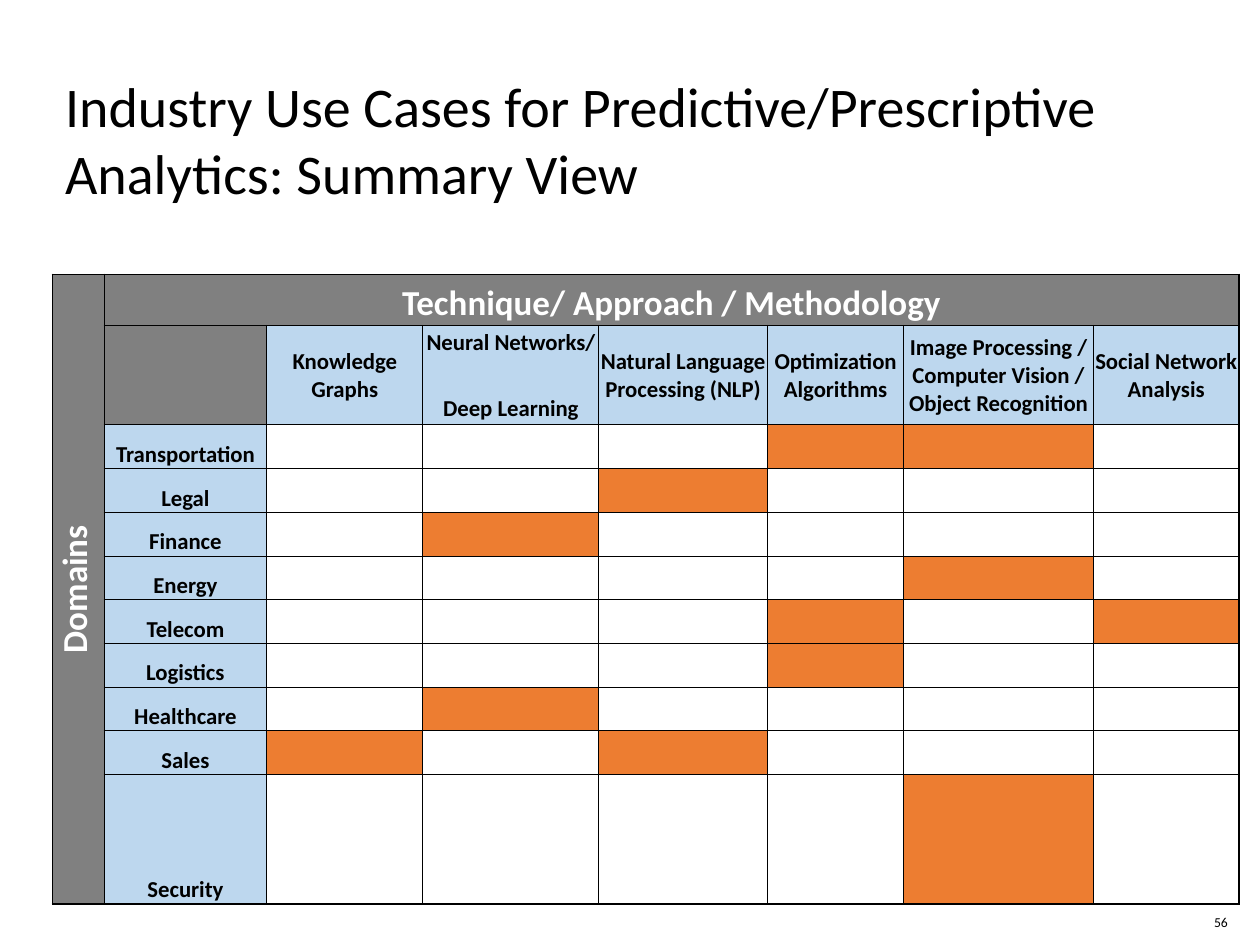
"""Build the summary table of analytics use cases by domain and technique."""
from lxml import etree
from pptx import Presentation
from pptx.dml.color import RGBColor
from pptx.enum.text import MSO_ANCHOR, MSO_AUTO_SIZE, PP_ALIGN
from pptx.oxml.ns import qn
from pptx.util import Pt

TOP, MIDDLE, BOTTOM = MSO_ANCHOR.TOP, MSO_ANCHOR.MIDDLE, MSO_ANCHOR.BOTTOM
LEFT, CENTER = PP_ALIGN.LEFT, PP_ALIGN.CENTER
NO_FIT = MSO_AUTO_SIZE.NONE
TITLE_ONLY = 5
FONT = "Calibri"
COLORS = {
    "black": "000000",
    "white": "FFFFFF",
    "band": "808080",
    "label": "BDD7EE",
    "used": "ED7D31",
}
TECHNIQUES = [
    "Knowledge Graphs",
    "Neural Networks/ \nDeep Learning",
    "Natural Language Processing (NLP)",
    "Optimization Algorithms",
    "Image Processing / Computer Vision / Object Recognition",
    "Social Network Analysis",
]
DOMAINS = {
    "Transportation": (3, 4),
    "Legal": (2,),
    "Finance": (1,),
    "Energy": (4,),
    "Telecom": (3, 5),
    "Logistics": (3,),
    "Healthcare": (1,),
    "Sales": (0, 2),
    "Security": (4,),
}
COL_WIDTHS = [29.4, 93.1, 89.1, 100.6, 96.3, 78, 108.2, 83.5]
ROW_HEIGHTS = [29, 57] + [25] * 8 + [73.5]


def rgb(name):
    """Return the named colour."""
    return RGBColor.from_string(COLORS[name])


def write(p, text, size, color="black", bold=False, align=CENTER):
    """Fill a paragraph with runs, one for each line of the text."""
    p.alignment = align
    for i, line in enumerate(text.split("\n")):
        if i:
            p.add_line_break()
        r = p.add_run()
        r.text = line
        r.font.name = FONT
        r.font.size = Pt(size)
        r.font.bold = bold
        r.font.color.rgb = rgb(color)


def add_title(s, text):
    """Place and format the title."""
    sp = s.shapes.title
    sp.left, sp.top, sp.width, sp.height = Pt(30), Pt(37), Pt(618), Pt(43)
    tf = sp.text_frame
    tf.word_wrap = True
    tf.auto_size = NO_FIT
    tf.vertical_anchor = TOP
    p = tf.paragraphs[0]
    p.line_spacing = 1.0
    write(p, text, 32, align=LEFT)


def add_page_number(s, text):
    """Add the page number in the bottom right corner."""
    sp = s.shapes.add_textbox(Pt(675.4), Pt(518.4), Pt(44.6), Pt(16.6))
    tf = sp.text_frame
    tf.word_wrap = True
    tf.vertical_anchor = MIDDLE
    write(tf.paragraphs[0], text, 7.8)


def set_borders(cell, widths):
    """Draw the left, right, top and bottom borders of a cell."""
    tc_pr = cell._tc.get_or_add_tcPr()
    for i, (side, width) in enumerate(zip("LRTB", widths)):
        ln = etree.Element(qn(f"a:ln{side}"), w=str(Pt(width)))
        fill = etree.SubElement(ln, qn("a:solidFill"))
        etree.SubElement(fill, qn("a:srgbClr"), val=COLORS["black"])
        tc_pr.insert(i, ln)


def format_cell(cell, fill=None, anchor=BOTTOM):
    """Set the margins, anchor and fill of a cell."""
    cell.margin_left = cell.margin_right = cell.margin_top = Pt(0.72)
    cell.margin_bottom = Pt(0)
    cell.vertical_anchor = anchor
    if fill:
        cell.fill.solid()
        cell.fill.fore_color.rgb = rgb(fill)
    else:
        cell.fill.background()


def fill_cell(cell, text, size, fill, color="black", anchor=BOTTOM):
    """Format a cell and write its bold label."""
    format_cell(cell, fill, anchor)
    write(cell.text_frame.paragraphs[0], text, size, color, bold=True)


def add_matrix(s):
    """Add the table of domains against techniques."""
    n_rows, n_cols = len(ROW_HEIGHTS), len(COL_WIDTHS)
    frame = s.shapes.add_table(n_rows, n_cols, Pt(30), Pt(156.8),
                               Pt(sum(COL_WIDTHS)), Pt(sum(ROW_HEIGHTS)))
    table = frame.table
    table.first_row = table.horz_banding = False
    for col, width in zip(table.columns, COL_WIDTHS):
        col.width = Pt(width)
    for row, height in zip(table.rows, ROW_HEIGHTS):
        row.height = Pt(height)
    table.cell(0, 0).merge(table.cell(n_rows - 1, 0))
    table.cell(0, 1).merge(table.cell(0, n_cols - 1))

    for r in range(n_rows):
        for c in range(n_cols):
            cell = table.cell(r, c)
            format_cell(cell)
            edges = (c == 0, c + cell.span_width == n_cols,
                     r == 0, r + cell.span_height == n_rows)
            set_borders(cell, [1 if edge else 0.5 for edge in edges])

    domains = table.cell(0, 0)
    fill_cell(domains, "Domains", 20, "band", "white", MIDDLE)
    domains._tc.tcPr.set("vert", "vert270")
    fill_cell(table.cell(0, 1), "Technique/ Approach / Methodology", 20,
              "band", "white")
    format_cell(table.cell(1, 1), "band")
    for c, technique in enumerate(TECHNIQUES, 2):
        fill_cell(table.cell(1, c), technique, 13, "label", anchor=MIDDLE)
    for r, (domain, used) in enumerate(DOMAINS.items(), 2):
        fill_cell(table.cell(r, 1), domain, 13, "label")
        for i in used:
            format_cell(table.cell(r, i + 2), "used")


def main():
    """Build and save the slide."""
    prs = Presentation()
    prs.slide_width, prs.slide_height = Pt(720), Pt(540)
    s = prs.slides.add_slide(prs.slide_layouts[TITLE_ONLY])
    add_title(s, "Industry Use Cases for Predictive/Prescriptive Analytics: "
                 "Summary View")
    add_matrix(s)
    add_page_number(s, "56")
    prs.save("out.pptx")


if __name__ == "__main__":
    main()
